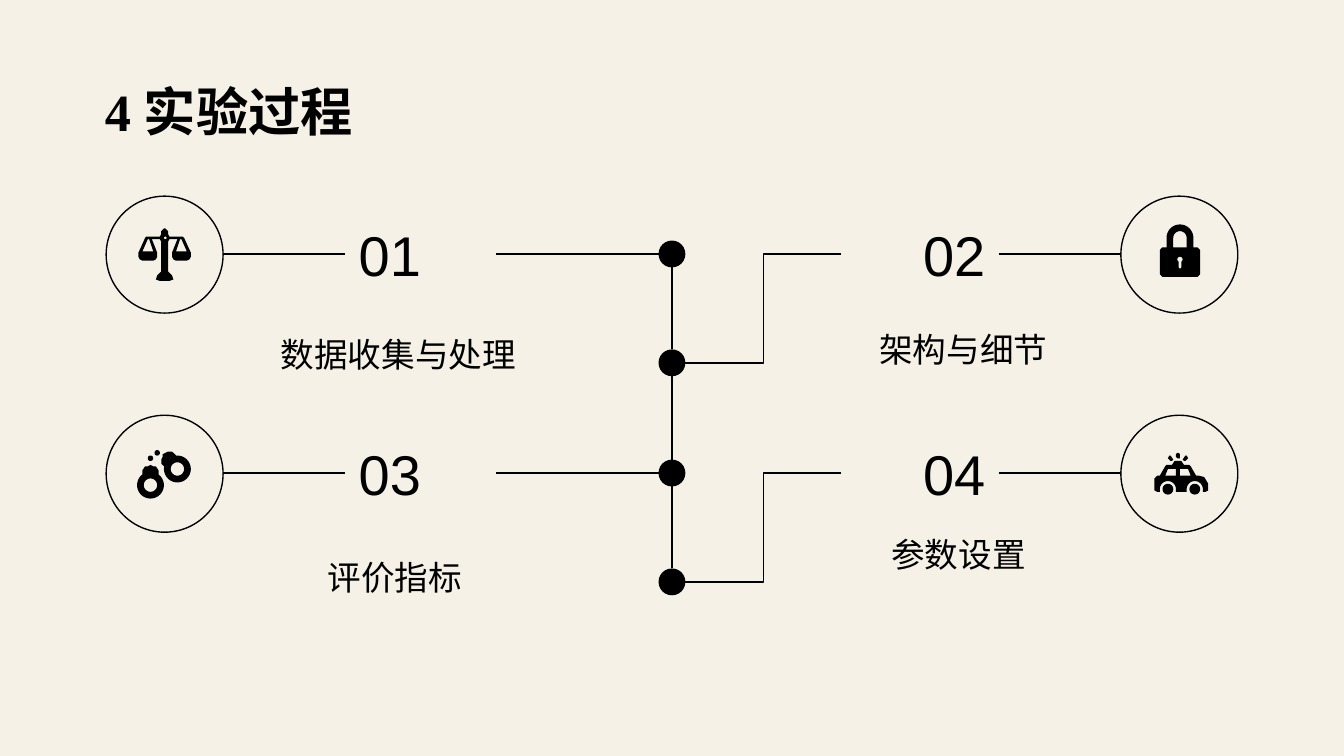
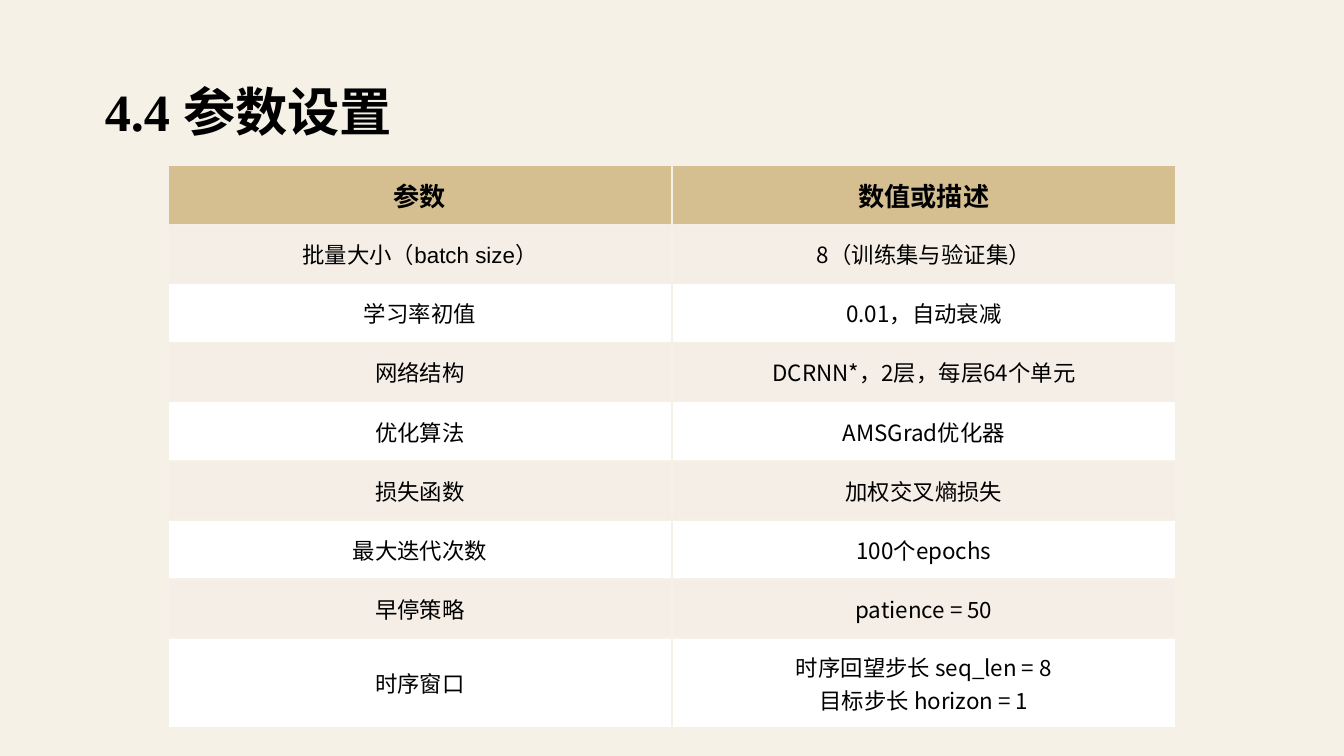
import math
from dataclasses import dataclass

from lxml import etree
from pptx import Presentation
from pptx import util as u
from pptx.dml.color import RGBColor
from pptx.enum import shapes, text
from pptx.oxml.ns import qn

PX = 9144


@dataclass(frozen=True)
class Theme:
    paper: str = "F6F1E7"
    ink: str = "000000"
    header: str = "D5BE90"
    band: str = "F5EEE6"
    plain: str = "FFFFFF"
    title_font: str = "Times New Roman"
    latin_font: str = "Arial"
    chinese_font: str = "Noto Sans CJK SC"
    title_size: int = 28
    number_size: int = 30
    label_size: int = 18
    header_size: int = 14
    cell_size: int = 12
    line_width: float = 0.75
    border_width: int = 1


THEME = Theme()
LEFT, CENTER, RIGHT = text.PP_ALIGN.LEFT, text.PP_ALIGN.CENTER, text.PP_ALIGN.RIGHT
MIDDLE = text.MSO_ANCHOR.MIDDLE


def px(*lengths):
    return [u.Emu(round(length * PX)) for length in lengths]


def color(value):
    return RGBColor.from_string(value)


def style_paragraph(paragraph, size, font, align=LEFT, bold=False, spacing=None):
    paragraph.alignment = align
    if spacing:
        paragraph.line_spacing = spacing
    paragraph.font.size = u.Pt(size)
    paragraph.font.bold = bold
    paragraph.font.name = font
    paragraph.font.color.rgb = color(THEME.ink)
    defaults = paragraph._p.pPr.find(qn("a:defRPr"))
    etree.SubElement(defaults, qn("a:ea"), typeface=THEME.chinese_font)


def write(shape, words, size, font, margin=10, anchor=text.MSO_ANCHOR.TOP, **style):
    frame = shape.text_frame
    frame.word_wrap = True
    frame.vertical_anchor = anchor
    frame.margin_left = frame.margin_top = frame.margin_right = frame.margin_bottom = px(margin)[0]
    frame.text = words
    style_paragraph(frame.paragraphs[0], size, font, **style)


def add_preset(slide, kind, box, filled=False, lined=False):
    shape = slide.shapes.add_shape(kind, *px(*box))
    paint(shape, filled, lined)
    return shape


def paint(shape, filled, lined):
    shape.shadow.inherit = False
    if filled:
        shape.fill.solid()
        shape.fill.fore_color.rgb = color(THEME.ink)
    else:
        shape.fill.background()
    if lined:
        shape.line.color.rgb = color(THEME.ink)
        shape.line.width = u.Pt(THEME.line_width)
    else:
        shape.line.fill.background()


def add_line(slide, start, end, kind=shapes.MSO_CONNECTOR.STRAIGHT):
    line = slide.shapes.add_connector(kind, *px(*start, *end))
    line.line.color.rgb = color(THEME.ink)
    line.line.width = u.Pt(THEME.line_width)
    etree.SubElement(line._element.spPr, qn("a:effectLst"))
    return line


def add_title(slide, words):
    box = slide.shapes.add_textbox(*px(78, 59, 844, 47))
    write(box, words, THEME.title_size, THEME.title_font, margin=0, anchor=MIDDLE, bold=True)


def arc(center_x, center_y, radius, start=0, end=360):
    steps = 24
    angles = [math.radians(start + (end - start) * step / steps) for step in range(steps + 1)]
    return [(center_x + radius * math.cos(a), center_y + radius * math.sin(a)) for a in angles]


def mirrored(points, width):
    return [(width - x, y) for x, y in reversed(points)]


def add_outline(slide, left, top, contours):
    placed = [[px(left + x, top + y) for x, y in contour] for contour in contours]
    builder = slide.shapes.build_freeform(*placed[0][0], scale=1.0)
    builder.add_line_segments(placed[0][1:], close=True)
    for contour in placed[1:]:
        builder.move_to(*contour[0])
        builder.add_line_segments(contour[1:], close=True)
    paint(builder.convert_to_shape(), filled=True, lined=False)


def scales_icon():
    half = [(19, 0), (17, 2), (17, 4), (16, 6), (6, 6), (5, 7), (0, 18), (0, 21), (1, 23),
            (3, 24), (11, 24), (13, 23), (14, 21), (14, 18), (10, 8), (16, 8), (17, 10),
            (17, 32), (14, 35), (13, 38), (16, 39)]
    pan = [(8, 8), (11, 17), (3, 17), (7, 8)]
    return [[half + mirrored(half, 39), pan, mirrored(pan, 39), arc(20, 7, 1)]]


def lock_icon():
    body = [(25, 17), (28, 17), (30, 19), (30, 37), (28, 39),
            (2, 39), (0, 37), (0, 19), (2, 17), (5, 17)]
    shackle_gap = arc(15, 10, 5, 180, 360) + [(20, 17), (10, 17)]
    keyhole = arc(15, 26, 2, 120, 420) + [(16, 32), (15, 33), (14, 32)]
    return [[arc(15, 10, 10, 180, 360) + body, shackle_gap, keyhole]]


def handcuffs_icon():
    left_clasp = [(4, 15), (6, 12), (8, 12), (10, 11), (12, 12), (14, 12), (16, 15)]
    right_clasp = [(18, 10), (18, 7), (19, 5), (19, 3), (21, 2), (23, 1), (24, 1), (26, 1)]
    return [
        [arc(10, 26, 10, -53, 233) + left_clasp, arc(10, 26, 5)],
        [arc(30, 14, 10, -95, 191) + right_clasp, arc(30, 14, 5)],
        [arc(15, 2, 2)],
        [arc(10, 6, 2)],
    ]


def car_icon():
    ray = [(24, 2), (25, 4), (23, 6), (22, 6), (21, 5), (23, 2)]
    body = ([(20, 6), (15, 6), (13, 9), (9, 9), (8, 10), (4, 17), (2, 17), (0, 19),
             (0, 28), (2, 29), (4, 29)]
            + arc(10, 27, 6, 180, 360) + [(16, 29), (24, 29)]
            + arc(30, 27, 6, 180, 360)
            + [(36, 29), (38, 29), (40, 28), (40, 23), (37, 18), (33, 17), (31, 17),
               (27, 10), (26, 9), (22, 9)])
    windows = [[(16, 12), (16, 17), (8, 17), (10, 12)],
               [(25, 12), (27, 17), (19, 17), (19, 12)]]
    return [
        [[(17, 0), (18, 0), (19, 1), (19, 4), (18, 4), (17, 4), (16, 3), (16, 1)]],
        [ray],
        [mirrored(ray, 35)],
        [body] + windows,
        [arc(10, 27, 4)],
        [arc(30, 27, 4)],
    ]


def add_badge(slide, left, top, icon, offset):
    add_preset(slide, shapes.MSO_SHAPE.OVAL, (left, top, 87, 87), lined=True)
    for contours in icon:
        add_outline(slide, left + offset[0], top + offset[1], contours)


def add_number(slide, number, box, align):
    shape = add_preset(slide, shapes.MSO_SHAPE.ROUNDED_RECTANGLE, box)
    shape.adjustments[0] = 0
    write(shape, number, THEME.number_size, THEME.latin_font, anchor=MIDDLE, align=align)
    return shape


def add_label(slide, words, box, align):
    shape = slide.shapes.add_textbox(*px(*box))
    write(shape, words, THEME.label_size, THEME.chinese_font, align=align, spacing=1.15)


def add_spine(slide, center_x, centers_y):
    radius = 10
    previous_y = None
    for center_y in centers_y:
        dot = add_preset(slide, shapes.MSO_SHAPE.OVAL,
                         (center_x - radius, center_y - radius, 2 * radius, 2 * radius), filled=True)
        if previous_y is not None:
            link = add_line(slide, (center_x, previous_y + radius), (center_x, center_y - radius))
            link.end_connect(dot, 0)
        previous_y = center_y


def add_left_step(slide, center_y, number, words, label_box, icon, offset):
    box = add_number(slide, number, (257, center_y - 22, 112, 44), LEFT)
    add_label(slide, words, label_box, LEFT)
    add_badge(slide, 79, center_y - 43, icon, offset)
    add_line(slide, (166, center_y), (257, center_y)).end_connect(box, 1)
    add_line(slide, (369, center_y), (490, center_y)).begin_connect(box, 3)


def add_right_step(slide, center_y, number, words, label_box, icon, offset, dot_y):
    box = add_number(slide, number, (626, center_y - 22, 117, 44), RIGHT)
    add_label(slide, words, label_box, RIGHT)
    add_badge(slide, 834, center_y - 43, icon, offset)
    add_line(slide, (743, center_y), (834, center_y)).begin_connect(box, 3)
    add_line(slide, (626, center_y), (510, dot_y), shapes.MSO_CONNECTOR.ELBOW)


def build_process(slide):
    add_title(slide, "4 实验过程")
    first, second, third, fourth = dots = (189, 270, 352, 433)
    add_spine(slide, 500, dots)
    add_left_step(slide, first, "01", "数据收集与处理", (199, 234, 204, 61), scales_icon(), (24, 24))
    add_right_step(slide, first, "02", "架构与细节", (631, 230, 158, 61), lock_icon(), (29, 21), second)
    add_left_step(slide, third, "03", "评价指标", (234, 400, 158, 62), handcuffs_icon(), (23, 26))
    add_right_step(slide, third, "04", "参数设置", (615, 383, 158, 62), car_icon(), (25, 28), fourth)


PARAMETERS = [
    ("参数", "数值或描述"),
    ("批量大小（batch size）", "8（训练集与验证集）"),
    ("学习率初值", "0.01，自动衰减"),
    ("网络结构", "DCRNN*，2层，每层64个单元"),
    ("优化算法", "AMSGrad优化器"),
    ("损失函数", "加权交叉熵损失"),
    ("最大迭代次数", "100个epochs"),
    ("早停策略", "patience = 50"),
    ("时序窗口", "时序回望步长 seq_len = 8\n目标步长 horizon = 1"),
]


def add_borders(cell):
    properties = cell._tc.get_or_add_tcPr()
    for position, side in enumerate(("lnL", "lnR", "lnT", "lnB")):
        border = etree.Element(qn(f"a:{side}"), w=str(u.Pt(THEME.border_width)))
        fill = etree.SubElement(border, qn("a:solidFill"))
        etree.SubElement(fill, qn("a:srgbClr"), val=THEME.paper)
        properties.insert(position, border)


def fill_cell(cell, words, row, column):
    is_header = row == 0
    cell.text = words
    cell.vertical_anchor = MIDDLE
    cell.fill.solid()
    background = THEME.header if is_header else THEME.band if row % 2 else THEME.plain
    cell.fill.fore_color.rgb = color(background)
    font = THEME.chinese_font if column and not is_header else THEME.latin_font
    size = THEME.header_size if is_header else THEME.cell_size
    for paragraph in cell.text_frame.paragraphs:
        style_paragraph(paragraph, size, font, align=CENTER, bold=is_header)
    add_borders(cell)


def add_parameter_table(slide, left, top, width, row_height, last_height):
    last = len(PARAMETERS) - 1
    height = row_height * last + last_height
    table = slide.shapes.add_table(last + 1, 2, *px(left, top, width, height)).table
    for row, values in enumerate(PARAMETERS):
        table.rows[row].height = px(last_height if row == last else row_height)[0]
        for column, words in enumerate(values):
            fill_cell(table.cell(row, column), words, row, column)


def build_parameters(slide):
    add_title(slide, "4.4 参数设置")
    add_parameter_table(slide, 125, 123, 750, 44, 67)


def main():
    presentation = Presentation()
    presentation.slide_width = px(1000)[0]
    presentation.slide_height = u.Emu(presentation.slide_width * 9 // 16)
    background = presentation.slide_master.background.fill
    background.solid()
    background.fore_color.rgb = color(THEME.paper)
    for build in (build_process, build_parameters):
        build(presentation.slides.add_slide(presentation.slide_layouts[6]))
    presentation.save("out.pptx")


if __name__ == "__main__":
    main()
